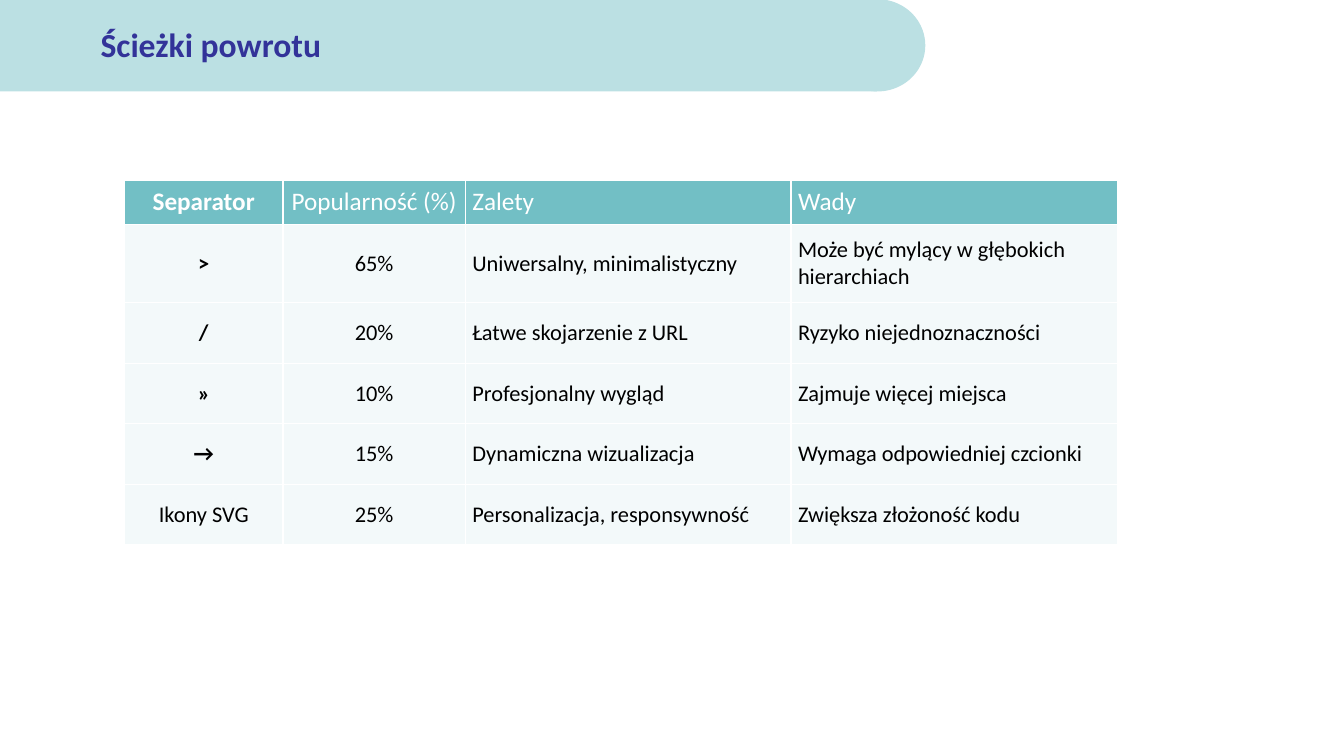
from dataclasses import dataclass

from pptx import Presentation
from pptx import util as u
from pptx.dml.color import RGBColor
from pptx.enum import shapes, text
from pptx.oxml import parse_xml
from pptx.oxml.ns import nsdecls

WIDE, HIGH = u.Inches(13.33), u.Inches(7.5)


@dataclass(frozen=True)
class Theme:
    font: str = "Calibri"
    band: str = "BBE0E3"
    title: str = "333399"
    head: str = "72BFC5"
    body: str = "F3F9FA"
    light: str = "FFFFFF"
    dark: str = "000000"
    big: int = 24
    mid: int = 18
    small: int = 16


THEME = Theme()
COLS = (11.78, 13.58, 24.23, 24.3)
ROWS = (5.8, 10.4, 8, 8, 8, 8)
DATA = (
    ("Separator", "Popularność (%)", "Zalety", "Wady"),
    (">", "65%", "Uniwersalny, minimalistyczny",
     "Może być mylący w głębokich hierarchiach"),
    ("/", "20%", "Łatwe skojarzenie z URL", "Ryzyko niejednoznaczności"),
    ("»", "10%", "Profesjonalny wygląd", "Zajmuje więcej miejsca"),
    ("→", "15%", "Dynamiczna wizualizacja", "Wymaga odpowiedniej czcionki"),
    ("Ikony SVG", "25%", "Personalizacja, responsywność",
     "Zwiększa złożoność kodu"),
)


def across(share):
    return round(WIDE * share / 100)


def down(share):
    return round(HIGH * share / 100)


def place(left, top, width, height):
    return across(left), down(top), across(width), down(height)


def apply(item, **values):
    for name, value in values.items():
        setattr(item, name, value)


def paint(item, color):
    item.fill.solid()
    item.fill.fore_color.rgb = RGBColor.from_string(color)


def write(frame, words, size, color, bold, align):
    para = frame.paragraphs[0]
    para.alignment = align
    run = para.add_run()
    run.text = words
    apply(run.font, name=THEME.font, size=u.Pt(size), bold=bold)
    run.font.color.rgb = RGBColor.from_string(color)


def add_block(slide, kind, box):
    block = slide.shapes.add_shape(kind, *place(*box))
    paint(block, THEME.band)
    block.line.fill.background()
    block.shadow.inherit = False


def add_title(slide, words, box):
    frame = slide.shapes.add_textbox(*place(*box)).text_frame
    frame.word_wrap = True
    write(frame, words, THEME.big, THEME.title, True, text.PP_ALIGN.LEFT)


def edge(cell):
    props = cell._tc.get_or_add_tcPr()
    for spot, side in enumerate("LRTB"):
        props.insert(spot, parse_xml(
            f'<a:ln{side} {nsdecls("a")} w="{u.Pt(1)}"><a:solidFill>'
            f'<a:srgbClr val="{THEME.light}"/></a:solidFill></a:ln{side}>'))


def fill_cell(cell, words, row, col):
    head = row == 0
    pad = u.Inches(0.07 if head else 0.05)
    anchor = text.MSO_ANCHOR.TOP if head else text.MSO_ANCHOR.MIDDLE
    apply(cell, margin_left=u.Inches(0.07), margin_right=u.Inches(0.07),
          margin_top=pad, margin_bottom=pad, vertical_anchor=anchor)
    paint(cell, THEME.head if head else THEME.body)
    edge(cell)
    align = text.PP_ALIGN.CENTER if col < 2 else text.PP_ALIGN.LEFT
    write(cell.text_frame, words, THEME.mid if head else THEME.small,
          THEME.light if head else THEME.dark,
          col == 0 and row < len(DATA) - 1, align)


def add_grid(slide, left, top):
    box = place(left, top, sum(COLS), sum(ROWS))
    grid = slide.shapes.add_table(len(ROWS), len(COLS), *box).table
    for col, share in zip(grid.columns, COLS):
        col.width = across(share)
    for row, share in zip(grid.rows, ROWS):
        row.height = down(share)
    for row, line in enumerate(DATA):
        for col, words in enumerate(line):
            fill_cell(grid.cell(row, col), words, row, col)


def main():
    deck = Presentation()
    apply(deck, slide_width=WIDE, slide_height=HIGH)
    slide = deck.slides.add_slide(deck.slide_layouts[6])
    kinds = shapes.MSO_SHAPE
    add_block(slide, kinds.RECTANGLE, (0, -0.1, 65.25, 12.2))
    add_block(slide, kinds.OVAL, (61.75, -0.1, 7.1, 12.2))
    add_title(slide, "Ścieżki powrotu", (6.75, 2.5, 61.8, 6.7))
    add_grid(slide, 9.27, 23.8)
    deck.save("out.pptx")


if __name__ == "__main__":
    main()
